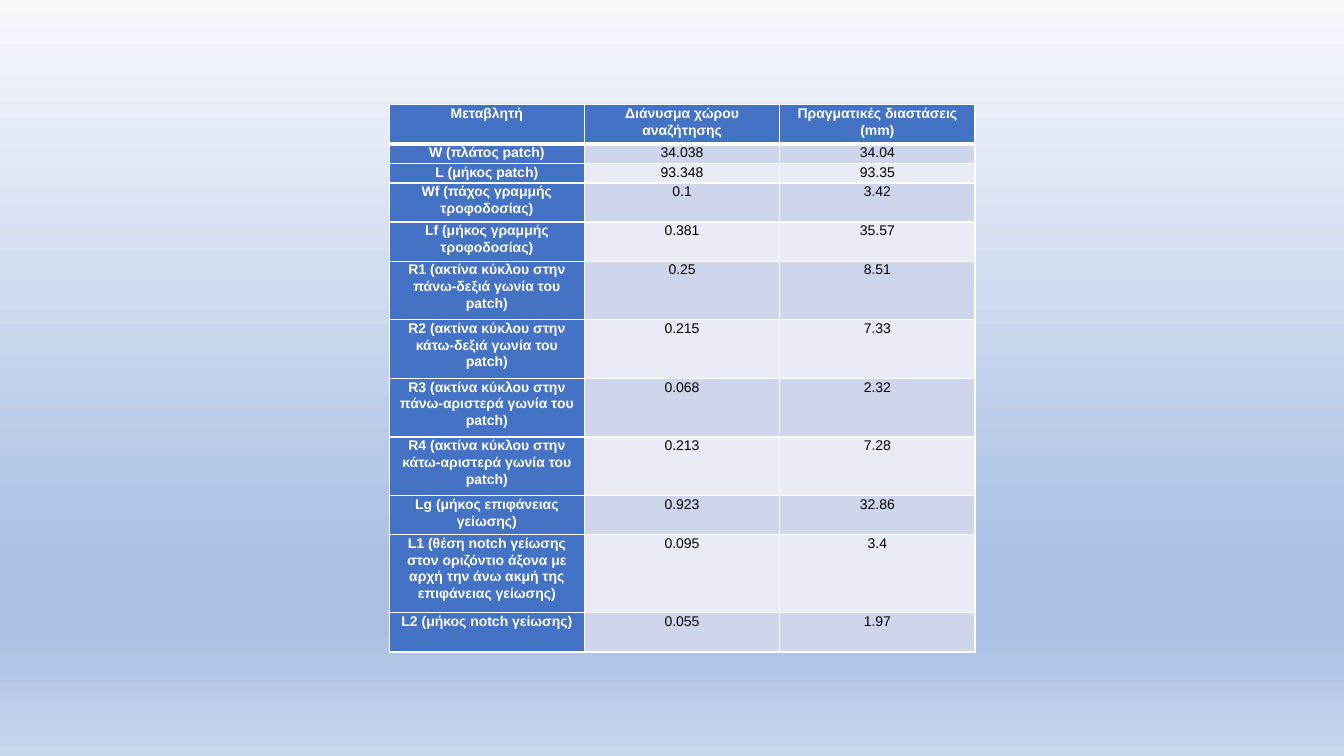
from lxml import etree
from pptx import Presentation
from pptx.dml.color import RGBColor
from pptx.enum.text import PP_ALIGN
from pptx.oxml.ns import qn
from pptx.util import Inches, Pt

CENTER = PP_ALIGN.CENTER
BLUE, WHITE, BLACK = "4472C4", "FFFFFF", "000000"
BANDS = ["CFD5EA", "E9EBF5"]
BACKGROUND_STOPS = [(0, "F6F8FC"), (74, "ABC0E4"), (83, "ABC0E4"), (100, "C7D5ED")]

HEADERS = ["Μεταβλητή", "Διάνυσμα χώρου αναζήτησης", "Πραγματικές διαστάσεις (mm)"]
VARIABLES = [
    ("W (πλάτος patch)", "34.038", "34.04"),
    ("L (μήκος patch)", "93.348", "93.35"),
    ("Wf (πάχος γραμμής τροφοδοσίας)", "0.1", "3.42"),
    ("Lf (μήκος γραμμής τροφοδοσίας)", "0.381", "35.57"),
    ("R1 (ακτίνα κύκλου στην πάνω-δεξιά γωνία του patch)", "0.25", "8.51"),
    ("R2 (ακτίνα κύκλου στην κάτω-δεξιά γωνία του patch)", "0.215", "7.33"),
    ("R3 (ακτίνα κύκλου στην πάνω-αριστερά γωνία του patch)", "0.068", "2.32"),
    ("R4 (ακτίνα κύκλου στην κάτω-αριστερά γωνία του patch)", "0.213", "7.28"),
    ("Lg (μήκος επιφάνειας γείωσης)", "0.923", "32.86"),
    ("L1 (θέση notch γείωσης στον οριζόντιο άξονα με αρχή την άνω ακμή της "
     "επιφάνειας γείωσης)", "0.095", "3.4"),
    ("L2 (μήκος notch γείωσης)", "0.055", "1.97"),
]
ROW_LINES = [2, 1, 1, 2, 2, 3, 3, 3, 3, 2, 4, 2]


def color(value):
    return RGBColor.from_string(value)


def add_hex(parent, value):
    etree.SubElement(parent, qn("a:srgbClr"), val=value)


def paint_background(page):
    fill = page.background.fill
    fill.gradient()
    fill.gradient_angle = 270
    stops = page.element.find(".//" + qn("a:gsLst"))
    for stop in list(stops):
        stops.remove(stop)
    for percent, value in BACKGROUND_STOPS:
        add_hex(etree.SubElement(stops, qn("a:gs"), pos=str(percent * 1000)), value)


def write_text(cell, text, size=10, value=BLACK, bold=False):
    cell.margin_left = cell.margin_right = Inches(0.07)
    cell.margin_top = cell.margin_bottom = 0
    para = cell.text_frame.paragraphs[0]
    para.alignment = CENTER
    para.line_spacing = 1.07
    span = para.add_run()
    span.text = text
    span.font.name = "Arial"
    span.font.size = Pt(size)
    span.font.bold = bold
    span.font.color.rgb = color(value)


def draw_borders(cell, top=1, bottom=1):
    properties = cell._tc.get_or_add_tcPr()
    for side, width in zip("LRTB", [1, 1, top, bottom]):
        line = etree.SubElement(properties, qn("a:ln" + side), w=str(Pt(width)))
        add_hex(etree.SubElement(line, qn("a:solidFill")), WHITE)


def add_variable_table(page, left, top, width, height):
    rows = [HEADERS, *VARIABLES]
    table = page.shapes.add_table(
        len(rows), len(HEADERS), left, top, width, height).table
    for column in table.columns:
        column.width = int(width / len(HEADERS))
    for index, (texts, lines) in enumerate(zip(rows, ROW_LINES)):
        table.rows[index].height = int(height * lines / sum(ROW_LINES))
        for position, text in enumerate(texts):
            cell = table.cell(index, position)
            heading = index == 0 or position == 0
            draw_borders(cell, top=3 if index == 1 else 1, bottom=3 if index == 0 else 1)
            cell.fill.solid()
            cell.fill.fore_color.rgb = color(BLUE if heading else BANDS[(index - 1) % 2])
            write_text(cell, text, value=WHITE if heading else BLACK, bold=heading)


def main():
    deck = Presentation()
    deck.slide_width, deck.slide_height = Inches(13.33), Inches(7.5)
    page = deck.slides.add_slide(deck.slide_layouts[6])
    paint_background(page)
    add_variable_table(page, Inches(3.86), Inches(1.04), Inches(5.81), Inches(5.43))
    deck.save("out.pptx")


if __name__ == "__main__":
    main()
